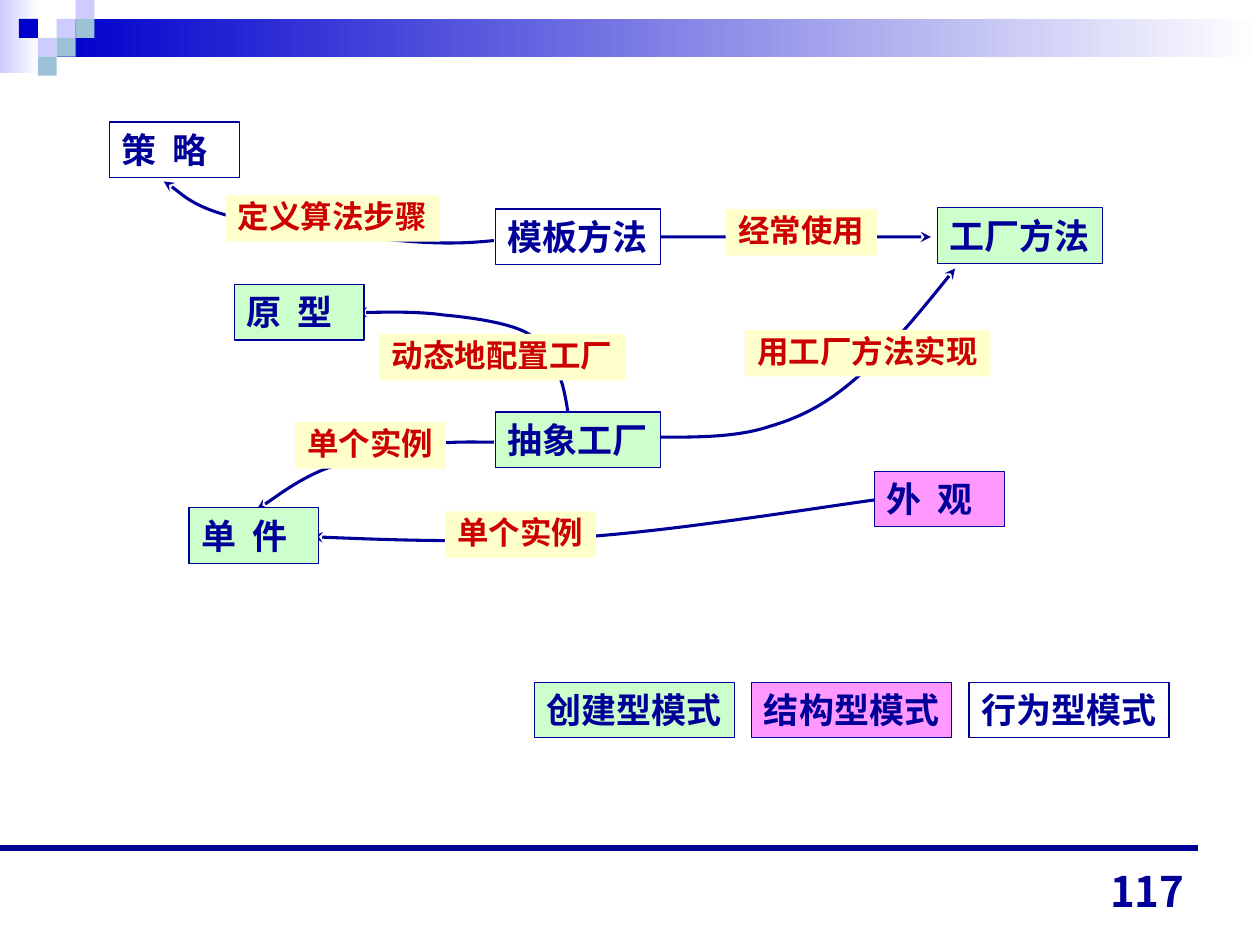
from lxml import etree
from pptx import Presentation
from pptx import util as u
from pptx.dml.color import RGBColor
from pptx.enum import shapes, text
from pptx.oxml.ns import qn

Pt = u.Pt


class Theme:
    navy = RGBColor.from_string("000099")
    blue = RGBColor.from_string("0000CC")
    lilac = RGBColor.from_string("CCCCFF")
    teal = RGBColor.from_string("9DC2D7")
    white = RGBColor.from_string("FFFFFF")
    green = RGBColor.from_string("CCFFCC")
    pink = RGBColor.from_string("FF99FF")
    cream = RGBColor.from_string("FFFFCC")
    red = RGBColor.from_string("CC0000")
    font, number_font = "Arial", "Noto Sans CJK JP"
    box_size, label_size, number_size = 20, 18, 24
    border, arrow, rule = 0.75, 1.75, 3.25


prs = Presentation()
prs.slide_width, prs.slide_height = Pt(720), Pt(540)
s = prs.slides.add_slide(prs.slide_layouts[6])


def add_box(x, y, w, h, fill, content="", size=0, color=None, border=False):
    """Rectangle with optional border and one line of bold text."""
    sp = s.shapes.add_shape(shapes.MSO_SHAPE.RECTANGLE, Pt(x), Pt(y), Pt(w), Pt(h))
    sp.shadow.inherit = False
    sp.fill.solid()
    sp.fill.fore_color.rgb = fill
    if border:
        sp.line.color.rgb = Theme.navy
        sp.line.width = Pt(Theme.border)
    else:
        sp.line.fill.background()
    if content:
        tf = sp.text_frame
        tf.text = content
        tf.word_wrap = False
        tf.auto_size = text.MSO_AUTO_SIZE.SHAPE_TO_FIT_TEXT
        tf.vertical_anchor = text.MSO_ANCHOR.TOP
        p = tf.paragraphs[0]
        p.alignment = text.PP_ALIGN.LEFT
        f = p.runs[0].font
        f.name, f.size, f.bold = Theme.font, Pt(size), True
        f.color.rgb = color
    return sp


def style_line(sp, width, arrow=True):
    """Navy line without shadow, with a stealth head at its end."""
    sp.line.color.rgb = Theme.navy
    sp.line.width = Pt(width)
    spPr = sp._element.spPr
    if arrow:
        etree.SubElement(spPr.find(qn("a:ln")), qn("a:tailEnd"), type="stealth")
    if spPr.find(qn("a:effectLst")) is None:
        etree.SubElement(spPr, qn("a:effectLst"))


# Header: two fading bands, then a mosaic on a square grid
for x, y, w, h, start in [(0, 0, 22.3, 41.8, Theme.lilac),
                          (32.4, 10.8, 687.6, 21.6, Theme.blue)]:
    sp = add_box(x, y, w, h, start)
    sp.fill.gradient()
    sp.fill.gradient_angle = 0
    for stop, color in zip(sp.fill.gradient_stops, (start, Theme.white)):
        stop.color.rgb = color

tile = 10.8
for col, row, color in [(3, 1, Theme.lilac), (4, 0, Theme.lilac), (4, 1, Theme.teal),
                        (2, 2, Theme.lilac), (1, 1, Theme.blue), (3, 2, Theme.teal),
                        (2, 3, Theme.teal)]:
    add_box(col * tile, row * tile, tile, tile, color)

# Footer rule
rule = s.shapes.add_connector(shapes.MSO_CONNECTOR.STRAIGHT, 0, Pt(484.6), Pt(684.7), Pt(484.6))
style_line(rule, Theme.rule, arrow=False)

# Legend of pattern kinds
for i, (name, fill) in enumerate([("创建型模式", Theme.green), ("结构型模式", Theme.pink),
                                  ("行为型模式", Theme.white)]):
    add_box(305.3 + i * 124.2, 390, 114.4, 31.7, fill, name,
            Theme.box_size, Theme.navy, border=True)

# Curved arrows: a start, then two control points and an end for each segment
curves = [
    # facade to singleton
    [(504, 285.1), (475.9, 288.7), (388.1, 303.1), (334.1, 306.7),
     (279.4, 310.3), (229, 308.9), (178.6, 306.7)],
    # abstract factory to singleton
    [(282.2, 252.7), (268.6, 252.7), (254.9, 252), (238.3, 254.9),
     (221.8, 257.8), (199.4, 262.8), (184.3, 268.6),
     (169.2, 275), (153.4, 287.3), (146.9, 290.9)],
    # abstract factory to factory method
    [(377.3, 249.8), (399.6, 249.8), (421.9, 249.8), (440.6, 243.4),
     (460.1, 237.6), (473.8, 229.7), (491, 214.6),
     (509, 199.4), (537.1, 164.2), (545.8, 153.4)],
    # abstract factory to prototype
    [(324.7, 236.9), (323.3, 227.5), (321.8, 218.9), (318.2, 211),
     (313.9, 203), (310.3, 195.1), (299.5, 189.4),
     (288.7, 184.3), (269.3, 181.4), (253.4, 180),
     (237.6, 177.8), (212.4, 178.6), (203.8, 178.6)],
    # template method to strategy
    [(282.2, 137.5), (267.8, 139), (252.7, 139.7), (228.2, 137.5),
     (203, 135.4), (154.8, 129.6), (132.5, 123.8),
     (110.2, 118.1), (100.1, 107.3), (93.6, 103.7)],
]
for curve in curves:
    points = [(Pt(x), Pt(y)) for x, y in curve]
    builder = s.shapes.build_freeform(*points[0])
    builder.add_line_segments(points[1:], close=False)
    sp = builder.convert_to_shape()
    sp.fill.background()
    style_line(sp, Theme.arrow)
    # Turn every three line points into one cubic segment
    outline = sp._element.find(".//" + qn("a:path"))
    lines = outline.findall(qn("a:lnTo"))
    for i in range(0, len(lines), 3):
        cubic = etree.SubElement(outline, qn("a:cubicBezTo"))
        for line in lines[i:i + 3]:
            cubic.append(line[0])
            outline.remove(line)

# Pattern boxes
boxes = {}
for name, x, y, w, fill in [("策  略", 62.6, 69.8, 74.2, Theme.white),
                            ("模板方法", 283, 119.5, 94.4, Theme.white),
                            ("工厂方法", 535.7, 118.8, 94.4, Theme.green),
                            ("原  型", 133.9, 162.7, 74.2, Theme.green),
                            ("抽象工厂", 283, 235.4, 94.4, Theme.green),
                            ("单  件", 108, 290.2, 74.2, Theme.green),
                            ("外  观", 499.7, 269.3, 74.2, Theme.pink)]:
    boxes[name] = add_box(x, y, w, 31.7, fill, name, Theme.box_size, Theme.navy, border=True)

# Straight arrow from template method towards factory method
link = s.shapes.add_connector(shapes.MSO_CONNECTOR.STRAIGHT, Pt(378), Pt(135.4), Pt(532), Pt(135.4))
link.begin_connect(boxes["模板方法"], 3)
style_line(link, Theme.arrow)

# Relation labels, as wide as their characters plus the insets
for name, x, y in [("经常使用", 414.7, 119.5), ("动态地配置工厂", 216.7, 190.8),
                   ("用工厂方法实现", 425.5, 188.6), ("单个实例", 168.5, 241.2),
                   ("单个实例", 254.2, 292.3), ("定义算法步骤", 128.9, 111.6)]:
    sp = add_box(x, y, Theme.label_size * len(name) + 14.4, 26.6, Theme.cream,
                 name, Theme.label_size, Theme.red)
    sp.text_frame.paragraphs[0].line_spacing = 0.9

# Page number
tb = s.shapes.add_textbox(Pt(516.2), Pt(491), Pt(167.8), Pt(36))
tf = tb.text_frame
tf.word_wrap = True
tf.vertical_anchor = text.MSO_ANCHOR.BOTTOM
tf.text = "117"
p = tf.paragraphs[0]
p.alignment = text.PP_ALIGN.RIGHT
f = p.runs[0].font
f.name, f.size, f.bold = Theme.number_font, Pt(Theme.number_size), True
f.color.rgb = Theme.navy

prs.save("out.pptx")
